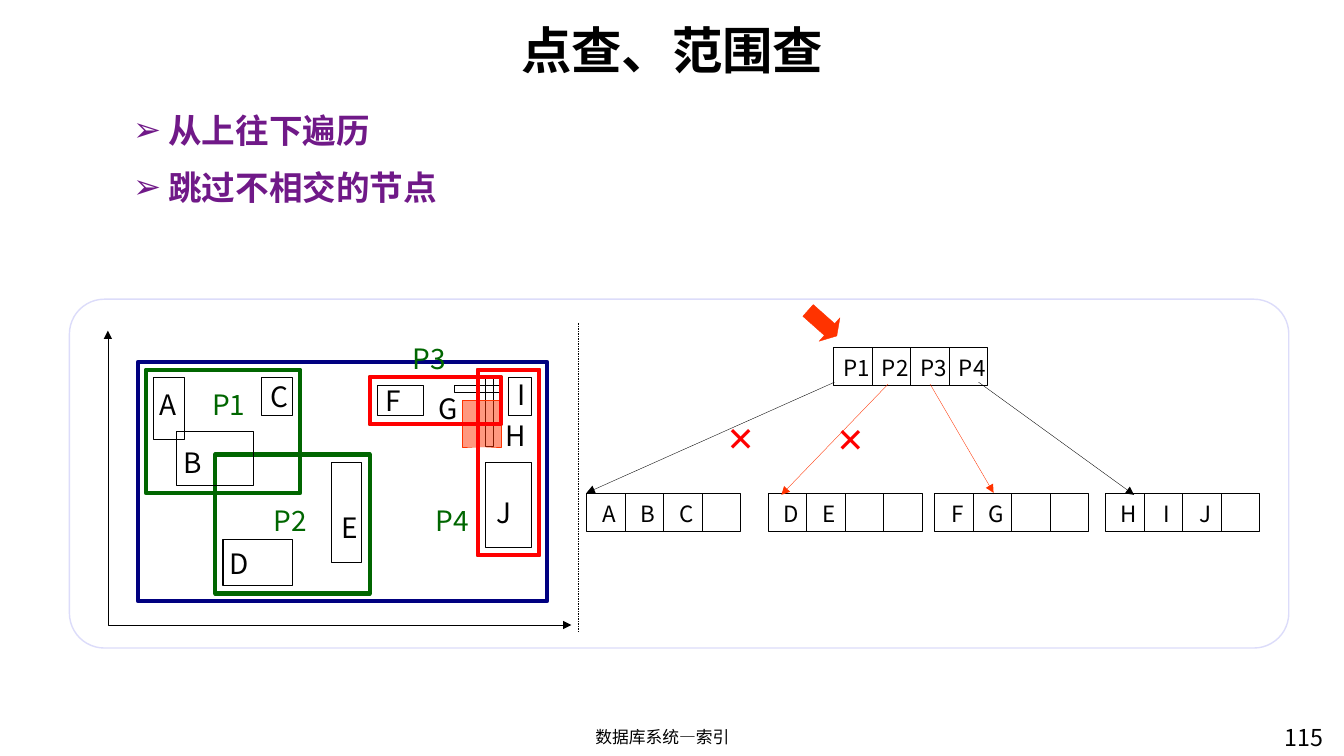
from lxml.etree import SubElement
from pptx import Presentation
from pptx.dml.color import RGBColor
from pptx.enum.dml import MSO_LINE
from pptx.enum.shapes import MSO_CONNECTOR, MSO_SHAPE
from pptx.enum.text import MSO_ANCHOR, MSO_AUTO_SIZE, PP_ALIGN
from pptx.oxml.ns import qn
from pptx.util import Cm, Pt

FONT = "Noto Sans CJK SC"
COLORS = {
    "black": "000000", "white": "FFFFFF", "purple": "701988", "lavender": "DCDCFA",
    "green": "006600", "navy": "000080", "red": "FF0000", "orange": "FF3300",
}
MAP_LEFT, MAP_TOP = 3.48, 9.12
MAP_UNIT = 10.31 / 53
CELL = 0.97

GROUPS = {"P1": (1, 1, 20, 16), "P4": (44, 1, 8, 24),
          "P2": (10, 12, 20, 18), "P3": (30, 2, 17, 6)}
ITEMS = {
    "A": (2, 2, 4, 8), "C": (16, 2, 4, 5), "B": (5, 9, 10, 7), "D": (11, 23, 9, 6),
    "E": (25, 13, 4, 13), "F": (31, 3, 6, 4), "J": (45, 13, 6, 11),
    "I": (48, 2, 3, 5), "G": (41, 3, 6, 1), "H": (45, 2, 1, 9),
}
ITEM_LABELS = {
    "A": (3.73, 9.63, 1.02), "B": (4.37, 11.1, 0.97), "C": (6.55, 9.42, 0.99),
    "D": (5.49, 13.64, 1.07), "E": (8.36, 12.73, 0.91), "F": (9.47, 9.53, 0.89),
    "G": (10.77, 9.73, 1.04), "H": (12.47, 10.41, 1.07), "I": (12.8, 9.37, 0.71),
    "J": (12.27, 12.34, 0.79),
}
GROUP_LABELS = {"P1": (5.08, 9.63), "P2": (6.63, 12.55),
                "P3": (10.13, 8.46), "P4": (10.72, 12.55)}
LEAVES = [(14.78, "ABC"), (19.35, "DE"), (23.55, "FG"), (27.86, "HIJ")]
BRANCHES = [
    ((21.03, 9.63), (14.78, 12.42), "black"), ((24.66, 9.63), (28.58, 12.47), "black"),
    ((22.38, 9.68), (19.69, 12.47), "orange"), ((23.44, 9.68), (25.04, 12.42), "orange"),
]


def color(name):
    """Return the named colour."""
    return RGBColor.from_string(COLORS[name])


def style_para(para, size, tint="black", bold=False, align=None):
    """Set the font and alignment of a paragraph."""
    para.alignment = align
    font = para.font
    font.size, font.bold, font.name = Pt(size), bold, FONT
    font.color.rgb = color(tint)
    SubElement(font._rPr, qn("a:ea"), typeface=FONT)


def place(shape, left, top, width, height):
    """Move and size a shape, in centimetres."""
    shape.left, shape.top = Cm(left), Cm(top)
    shape.width, shape.height = Cm(width), Cm(height)


def add_text(shapes, text, area, size, tint="black", align=PP_ALIGN.LEFT):
    """Add a wrapping text box."""
    box = shapes.add_textbox(*map(Cm, area))
    box.text_frame.word_wrap = True
    box.text_frame.text = text
    style_para(box.text_frame.paragraphs[0], size, tint, align=align)
    return box


def add_label(shapes, text, area, size, tint="black"):
    """Add a centred one-line label that fits its text."""
    frame = add_text(shapes, text, area, size, tint, PP_ALIGN.CENTER).text_frame
    frame.word_wrap = False
    frame.auto_size = MSO_AUTO_SIZE.SHAPE_TO_FIT_TEXT
    frame.vertical_anchor = MSO_ANCHOR.MIDDLE


def paint(shape, line, width, fill=None):
    """Give a shape its outline and fill, without shadow."""
    shape.shadow.inherit = False
    if fill:
        shape.fill.solid()
        shape.fill.fore_color.rgb = color(fill)
    else:
        shape.fill.background()
    shape.line.color.rgb = color(line)
    shape.line.width = Pt(width)


def add_box(shapes, area, line, width, fill=None, kind=MSO_SHAPE.RECTANGLE):
    """Add an outlined preset shape."""
    shape = shapes.add_shape(kind, *map(Cm, area))
    paint(shape, line, width, fill)
    return shape


def add_region(shapes, area, line, width, fill=None):
    """Add a rectangle given in units of the map grid."""
    left, top, wide, high = (value * MAP_UNIT for value in area)
    return add_box(shapes, (MAP_LEFT + left, MAP_TOP + top, wide, high), line, width, fill)


def add_arrowheads(shape, *ends):
    """Put triangles on the given line ends."""
    for end in ends:
        SubElement(shape.line._get_or_add_ln(), qn(f"a:{end}"), type="triangle")


def add_line(shapes, start, end, tint):
    """Add a thin straight line."""
    line = shapes.add_connector(MSO_CONNECTOR.STRAIGHT, *map(Cm, start + end))
    line.line.color.rgb = color(tint)
    line.line.width = Pt(0.25)
    SubElement(line._element.spPr, qn("a:effectLst"))
    return line


def add_node(shapes, left, top, keys, label_width):
    """Add a group of four cells with the keys in the first ones."""
    node = shapes.add_group_shape().shapes
    for index in range(4):
        add_box(node, (left + index * CELL, top, CELL, CELL), "black", 0.25)
    for index, key in enumerate(keys):
        center = left + index * CELL + 0.58
        add_label(node, key, (center - label_width / 2, top + 0.05, label_width, 0.94), 16)


def add_heading(page):
    """Fill the title and the bulleted list."""
    title, body = page.placeholders
    place(title, 2.92, 0.3, 28.04, 1.88)
    title.text_frame.text = "点查、范围查"
    title.text_frame.vertical_anchor = MSO_ANCHOR.MIDDLE
    style_para(title.text_frame.paragraphs[0], 36, bold=True, align=PP_ALIGN.CENTER)
    place(body, 3.1, 2.39, 15.75, 3.33)
    body.text_frame.text = "从上往下遍历\n跳过不相交的节点"
    body.text_frame.auto_size = MSO_AUTO_SIZE.NONE
    for index, para in enumerate(body.text_frame.paragraphs):
        properties = para._p.get_or_add_pPr()
        properties.set("marL", str(Cm(0.89)))
        properties.set("indent", str(-Cm(0.89)))
        SubElement(properties, qn("a:buChar"), char="➢")
        para.line_spacing = 1.25
        para.space_before = Pt(4.8 if index else 0)
        style_para(para, 24, "purple", True)


def add_map(shapes):
    """Draw the axes, the regions and their labels."""
    for area in GROUPS.values():
        add_region(shapes, area, "green", 3)
    for area in ITEMS.values():
        add_region(shapes, area, "black", 0.75)
    add_region(shapes, (0, 0, 53, 31), "navy", 3)
    builder = shapes.build_freeform(Cm(2.72), Cm(8.33))
    builder.add_line_segments([(Cm(2.72), Cm(15.75)), (Cm(14.4), Cm(15.75))], close=False)
    axes = builder.convert_to_shape()
    paint(axes, "black", 0.25)
    add_arrowheads(axes, "headEnd", "tailEnd")
    for name, area in ITEM_LABELS.items():
        add_label(shapes, name, (*area, 1.12), 20)
    for name, corner in GROUP_LABELS.items():
        add_label(shapes, name, (*corner, 1.37, 1.12), 20, "green")


def add_tree(shapes):
    """Draw the root, the leaves and the branches."""
    add_node(shapes, 21.01, 8.74, ["P1", "P2", "P3", "P4"], 1.19)
    for left, keys in LEAVES:
        add_node(shapes, left, 12.42, keys, 0.89)
    divider = add_line(shapes, (14.58, 15.93), (14.58, 8.15), "black")
    divider.line.dash_style = MSO_LINE.DASH
    for start, end, tint in BRANCHES:
        add_arrowheads(add_line(shapes, start, end, tint), "tailEnd")


def add_query(shapes):
    """Mark the query window, the regions it meets and the skipped branches."""
    window = add_region(shapes, (42, 5, 5, 6), "orange", 0.25, "orange")
    fill = window._element.spPr.find(".//" + qn("a:srgbClr"))
    SubElement(fill, qn("a:alpha"), val="50000")
    pointer = add_box(shapes, (20.24, 7.75, 0.97, 0.79), "orange", 0.25, "orange",
                      MSO_SHAPE.RIGHT_ARROW)
    pointer.adjustments[1] = 0.31
    pointer.rotation = 41.6
    for name in ("P3", "P4"):
        add_region(shapes, GROUPS[name], "red", 3)
    for left, top in ((18.06, 10.41), (20.83, 10.44)):
        cross = add_text(shapes, "✕", (left, top, 1.24, 1.27), 24, "red")
        cross.text_frame.auto_size = MSO_AUTO_SIZE.SHAPE_TO_FIT_TEXT


def main():
    """Build the slide and save the deck."""
    deck = Presentation()
    deck.slide_width, deck.slide_height = Cm(33.87), Cm(19.05)
    page = deck.slides.add_slide(deck.slide_layouts[1])
    shapes = page.shapes
    add_heading(page)
    add_text(shapes, "115", (32.13, 18.11, 2.13, 1.32), 16.6)
    add_text(shapes, "数据库系统—索引", (11.35, 18.19, 10.69, 0.86), 12, align=PP_ALIGN.CENTER)
    panel = add_box(shapes, (1.75, 7.54, 30.73, 8.79), "lavender", 1, "white",
                    MSO_SHAPE.ROUNDED_RECTANGLE)
    panel.adjustments[0] = 0.1
    add_map(shapes)
    add_tree(shapes)
    add_query(shapes)
    deck.save("out.pptx")


if __name__ == "__main__":
    main()
